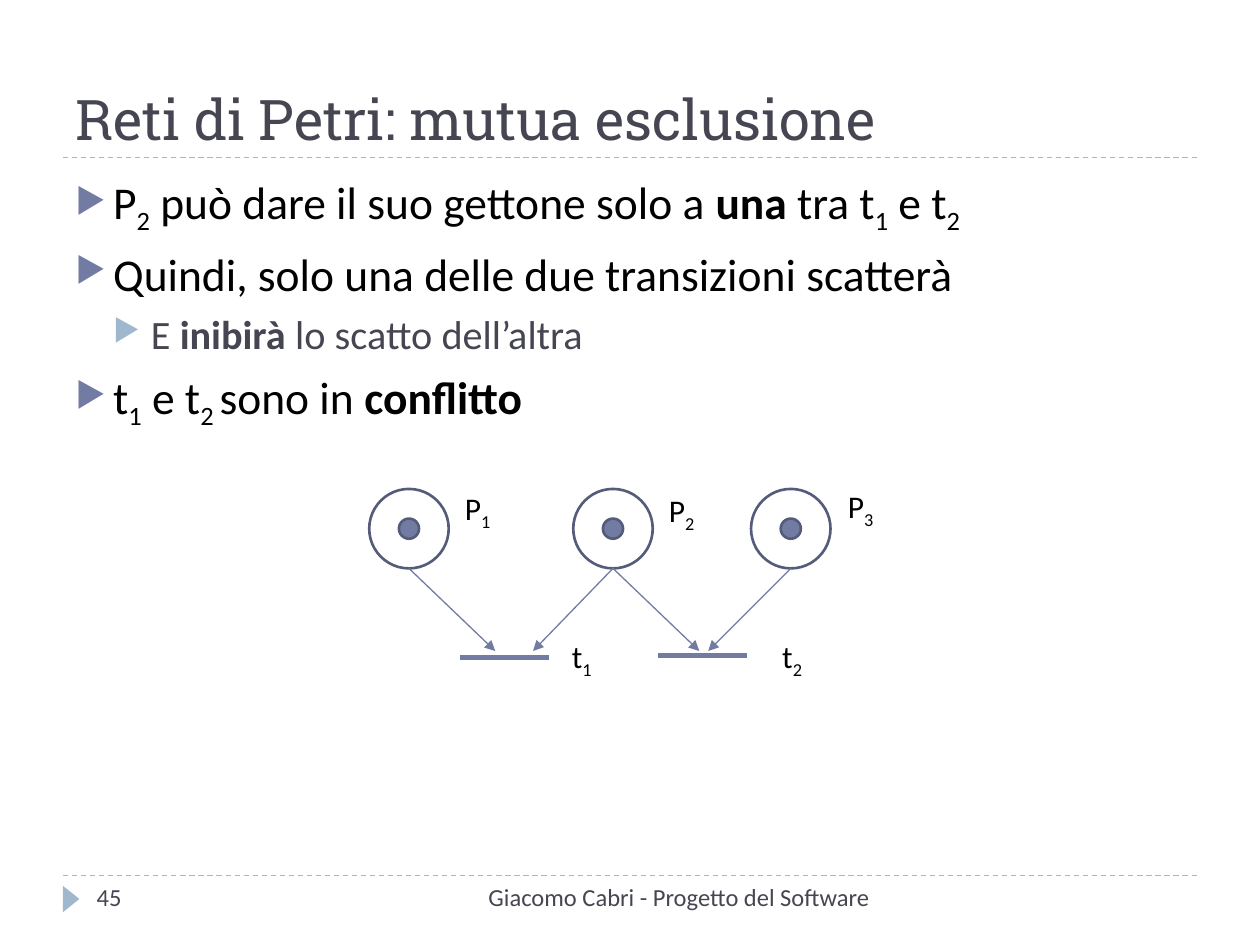
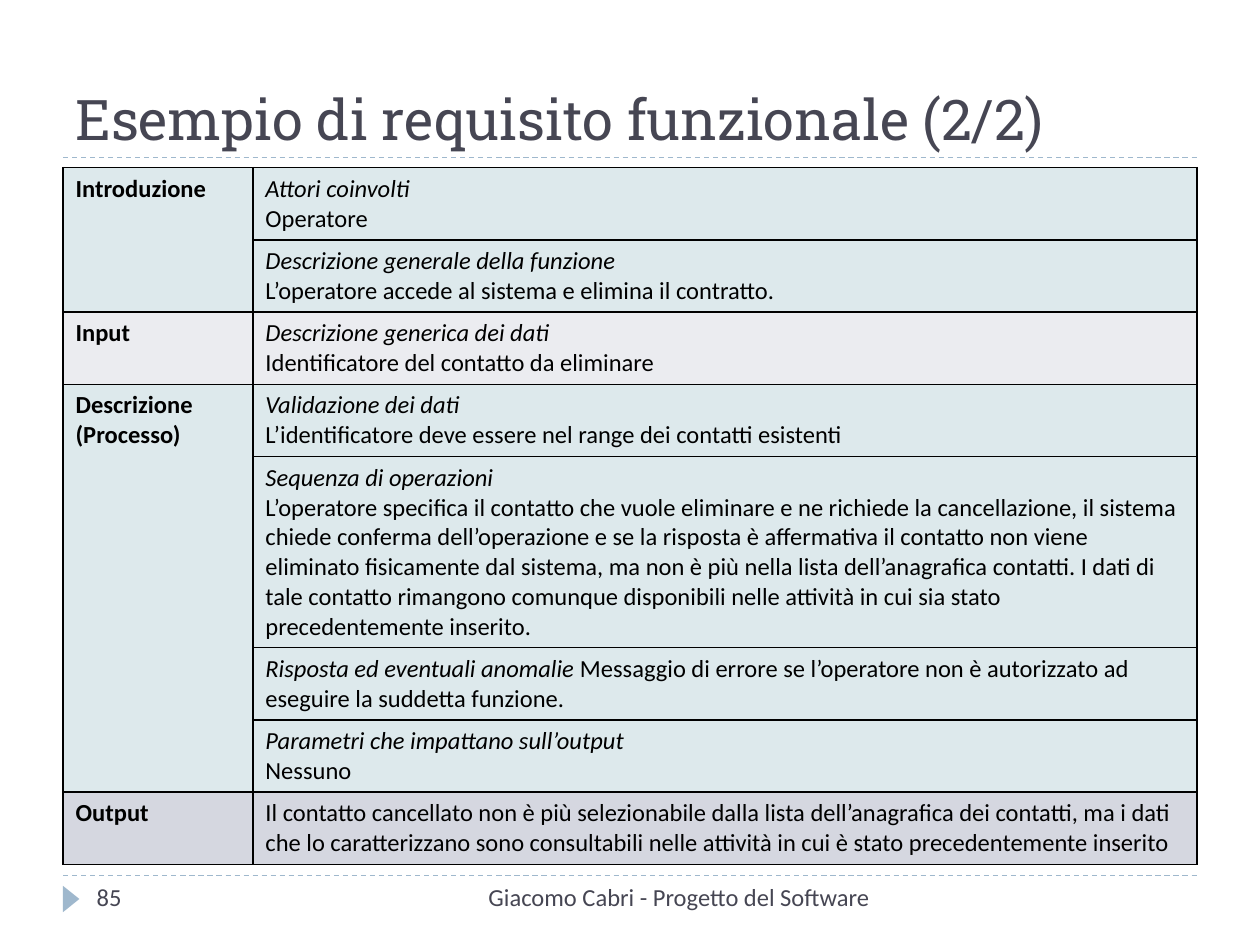
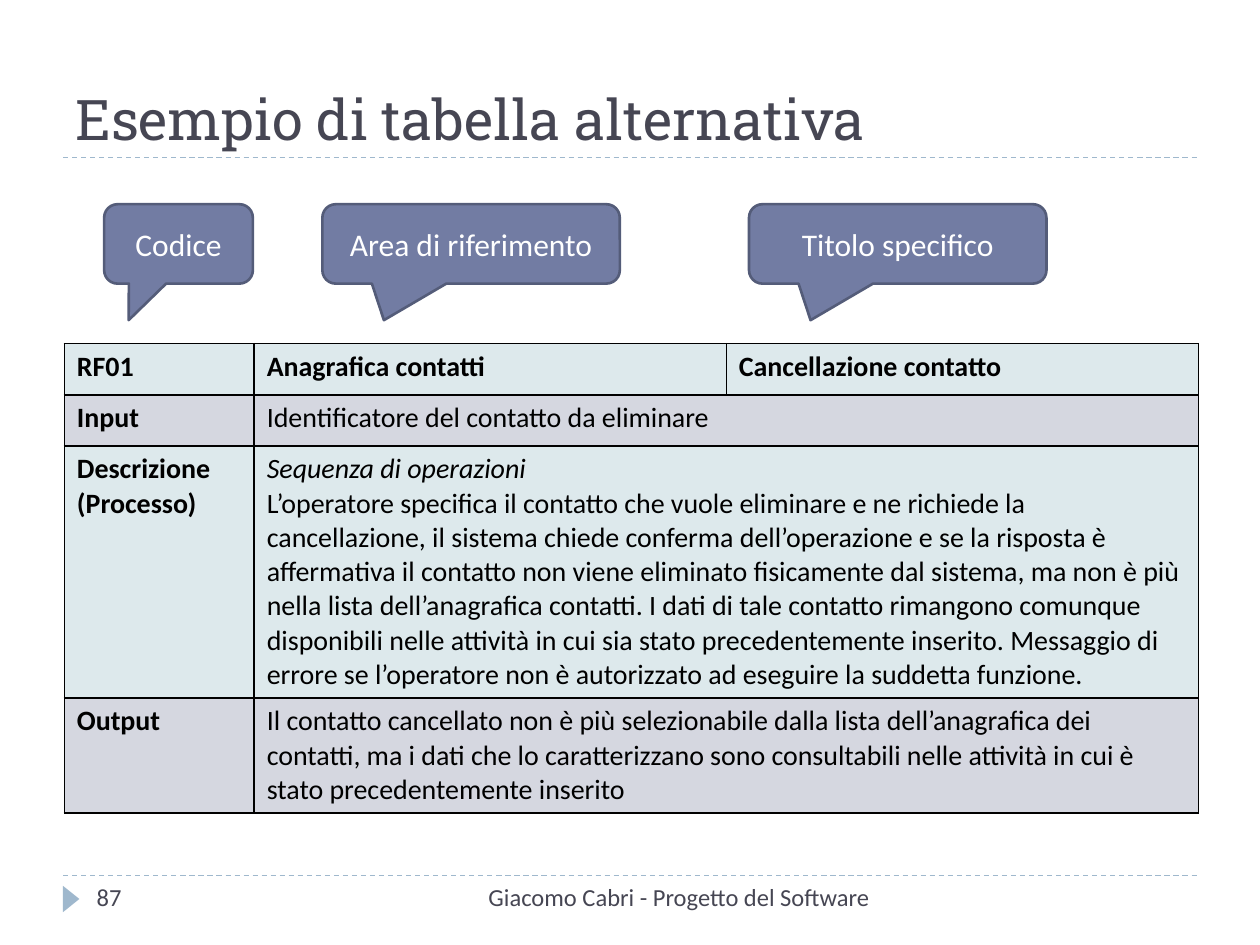
from lxml import etree
from pptx import Presentation
from pptx.dml.color import RGBColor
from pptx.enum import dml, shapes, text
from pptx.oxml import ns
from pptx.util import Pt

PALETTE = {
    "ink": "000000", "heading": "464653", "accent": "727CA3", "outline": "545C79",
    "rule": "9FB8CD", "white": "FFFFFF", "teal": "DDE9EC", "lilac": "D5D7E0", "mist": "EBECF0",
}
BODY_FONT, TITLE_FONT = "Calibri", "Roboto Slab"
FOOTER = "Giacomo Cabri - Progetto del Software"
MARGIN, CONTENT_WIDTH = 36, 648
STYLES = {"": {}, "bold": {"bold": True}, "italic": {"italic": True}, "sub": {}}

DELETION = (
    "L’operatore specifica il contatto che vuole eliminare e ne richiede la cancellazione, "
    "il sistema chiede conferma dell’operazione e se la risposta è affermativa il contatto "
    "non viene eliminato fisicamente dal sistema, ma non è più nella lista dell’anagrafica "
    "contatti. I dati di tale contatto rimangono comunque disponibili nelle attività in cui "
    "sia stato precedentemente inserito."
)
ERROR = "Messaggio di errore se l’operatore non è autorizzato ad eseguire la suddetta funzione."
OUTPUT = (
    "Il contatto cancellato non è più selezionabile dalla lista dell’anagrafica dei contatti, "
    "ma i dati che lo caratterizzano sono consultabili nelle attività in cui è stato "
    "precedentemente inserito"
)
TARGET = "Identificatore del contatto da eliminare"


def color(name):
    return RGBColor.from_string(PALETTE[name])


def apply(target, values):
    for name, value in values.items():
        setattr(target, name, value)


def child(parent, tag, **attributes):
    return etree.SubElement(parent, ns.qn(tag), attributes)


def write(paragraph, runs, size, tint="ink", font=BODY_FONT):
    for content, style in runs:
        run = paragraph.add_run()
        run.text = content
        apply(run.font, {"size": Pt(size), "name": font, **STYLES[style]})
        run.font.color.rgb = color(tint)
        if style == "sub":
            run._r.get_or_add_rPr().set("baseline", "-25000")


def add_text(slide, box, runs, size, tint="ink", font=BODY_FONT,
             align=text.PP_ALIGN.LEFT, **frame_format):
    frame = slide.shapes.add_textbox(*map(Pt, box)).text_frame
    apply(frame, {"word_wrap": True, **frame_format})
    paragraph = frame.paragraphs[0]
    paragraph.alignment = align
    write(paragraph, runs, size, tint, font)
    return frame


def add_shape(slide, kind, box, fill=None, line=None):
    shape = slide.shapes.add_shape(kind, *map(Pt, box))
    shape.shadow.inherit = False
    if fill:
        shape.fill.solid()
        shape.fill.fore_color.rgb = color(fill)
    else:
        shape.fill.background()
    if line:
        shape.line.color.rgb = color(line)
        shape.line.width = Pt(1.5)
    else:
        shape.line.fill.background()
    return shape


def add_line(slide, start, end, tint, width, dashed=False, arrow=False):
    connector = slide.shapes.add_connector(
        shapes.MSO_CONNECTOR.STRAIGHT, *map(Pt, (*start, *end)))
    connector.line.color.rgb = color(tint)
    connector.line.width = Pt(width)
    if dashed:
        connector.line.dash_style = dml.MSO_LINE.DASH
    if arrow:
        child(connector.line._get_or_add_ln(), "a:tailEnd", type="triangle")
    child(connector._element.spPr, "a:effectLst")


def add_frame(presentation, title, number):
    slide = presentation.slides.add_slide(presentation.slide_layouts[6])
    footer_top = 500.4
    for y in (footer_top, 90):
        add_line(slide, (MARGIN, y), (MARGIN + CONTENT_WIDTH, y), "rule", 0.75, dashed=True)
    marker = add_shape(slide, shapes.MSO_SHAPE.ISOSCELES_TRIANGLE,
                       (33.1, footer_top + 8.6, 15.1, 9.4), "rule")
    marker.rotation = 90
    add_text(slide, (MARGIN, 12.2, CONTENT_WIDTH, 77.8), [(title, "")], 32, "heading",
             TITLE_FONT, vertical_anchor=text.MSO_ANCHOR.BOTTOM)
    add_text(slide, (228.2, footer_top, 275.8, 28.8), [(FOOTER, "")], 14, "heading",
             align=text.PP_ALIGN.RIGHT)
    add_text(slide, (48.2, footer_top, 156.2, 28.8), [(number, "")], 14, "heading")
    return slide


def add_bullets(slide, box, items):
    levels = [
        {"size": 26, "tint": "ink", "bullet": "accent", "before": 6},
        {"size": 23, "tint": "heading", "bullet": "rule", "before": 5},
    ]
    frame = add_text(slide, box, [], 26)
    for index, (level, runs) in enumerate(items):
        look = levels[level]
        paragraph = frame.add_paragraph() if index else frame.paragraphs[0]
        apply(paragraph, {"level": level, "space_before": Pt(look["before"])})
        properties = paragraph._p.get_or_add_pPr()
        properties.set("marL", str(Pt(21.6 * (level + 1))))
        properties.set("indent", str(Pt(-21.6)))
        child(child(properties, "a:buClr"), "a:srgbClr", val=PALETTE[look["bullet"]])
        child(properties, "a:buSzPct", val="76000")
        child(properties, "a:buChar", char="▶")
        write(paragraph, runs, look["size"], look["tint"])


def add_petri_net(slide, box):
    left, top = box
    diameter, token = 45.4, 11.5
    radius = diameter / 2
    places = [("1", 0, (47.5, 0.8)), ("2", 116.6, (164.1, 2.2)), ("3", 218.2, (266.4, 0))]
    transitions = [("1", 51.8, 100.8, (108.7, 85.7)), ("2", 164.9, 99.4, (228.9, 85.7))]
    arcs = [(0, 72), (1, 93.6), (1, 188.6), (2, 193.7)]

    def add_label(letter, number, offset):
        add_text(slide, (left + offset[0], top + offset[1], 29, 28.8),
                 [(letter, ""), (number, "sub")], 18, word_wrap=False,
                 auto_size=text.MSO_AUTO_SIZE.SHAPE_TO_FIT_TEXT)

    for number, x, label in places:
        for size, fill in ((diameter, None), (token, "accent")):
            inset = (diameter - size) / 2
            add_shape(slide, shapes.MSO_SHAPE.OVAL,
                      (left + x + inset, top + 4.4 + inset, size, size), fill, "outline")
        add_label("P", number, label)
    for number, x, y, label in transitions:
        add_line(slide, (left + x, top + y), (left + x + 51.1, top + y), "accent", 3)
        add_label("t", number, label)
    for place, tip in arcs:
        start = (left + places[place][1] + radius, top + 4.4 + diameter)
        add_line(slide, start, (left + tip, top + 97), "accent", 0.75, arrow=True)


def set_border(cell, edge, visible):
    line = child(cell._tc.get_or_add_tcPr(), "a:" + edge, w=str(Pt(1)))
    if visible:
        child(child(line, "a:solidFill"), "a:srgbClr", val=PALETTE["ink"])
    else:
        child(line, "a:noFill")


def add_requirement_table(slide, box, widths, heights, rows, size):
    left, top = box
    table = slide.shapes.add_table(len(rows), len(widths), Pt(left), Pt(top),
                                   Pt(sum(widths)), Pt(sum(heights))).table
    apply(table, {"first_row": False, "horz_banding": False})
    for column, width in zip(table.columns, widths):
        column.width = Pt(width)
    for row, height in zip(table.rows, heights):
        row.height = Pt(height)
    for r, (fill, *contents) in enumerate(rows):
        for c in range(len(widths)):
            cell = table.cell(r, c)
            paragraphs = contents[c] if c < len(contents) else []
            for index, runs in enumerate(paragraphs):
                paragraph = (cell.text_frame.add_paragraph() if index
                             else cell.text_frame.paragraphs[0])
                write(paragraph, runs, size)
            opens = c > 0 or bool(contents[0])
            closes = c > 0 or r + 1 == len(rows) or bool(rows[r + 1][1])
            for edge, visible in (("lnL", True), ("lnR", True), ("lnT", opens), ("lnB", closes)):
                set_border(cell, edge, visible)
            cell.fill.solid()
            cell.fill.fore_color.rgb = color(fill)
        if len(contents) < len(widths):
            table.cell(r, len(contents) - 1).merge(table.cell(r, len(widths) - 1))


def add_callouts(slide, top, callouts):
    for label, left, width, pointer in callouts:
        shape = add_shape(slide, shapes.MSO_SHAPE.ROUNDED_RECTANGULAR_CALLOUT,
                          (left, top, width, 45.4), "accent", "outline")
        for index, value in enumerate((pointer, 0.96, 0.17)):
            shape.adjustments[index] = value
        apply(shape.text_frame, {"word_wrap": True, "vertical_anchor": text.MSO_ANCHOR.MIDDLE})
        paragraph = shape.text_frame.paragraphs[0]
        paragraph.alignment = text.PP_ALIGN.CENTER
        write(paragraph, [(label, "")], 18, "white")


def strong(content):
    return [[(content, "bold")]]


def plain(content):
    return [[(content, "")]]


def entry(heading, content):
    return [[(heading, "italic")], [(content, "")]]


def build_mutual_exclusion(presentation):
    slide = add_frame(presentation, "Reti di Petri: mutua esclusione", "45")
    add_bullets(slide, (MARGIN, 95.8, CONTENT_WIDTH, 388.8), [
        (0, [("P", ""), ("2", "sub"), (" può dare il suo gettone solo a ", ""), ("una", "bold"),
             (" tra t", ""), ("1", "sub"), (" e t", ""), ("2", "sub")]),
        (0, [("Quindi, solo una delle due transizioni scatterà", "")]),
        (1, [("E ", ""), ("inibirà", "bold"), (" lo scatto dell’altra", "")]),
        (0, [("t", ""), ("1", "sub"), (" e t", ""), ("2 ", "sub"), ("sono in ", ""),
             ("conflitto", "bold")]),
    ])
    add_petri_net(slide, (211, 275))


def build_functional_requirement(presentation):
    slide = add_frame(presentation, "Esempio di requisito funzionale (2/2)", "85")
    rows = [
        ("teal", strong("Introduzione"), entry("Attori coinvolti", "Operatore")),
        ("teal", [], entry("Descrizione generale della funzione",
                           "L’operatore accede al sistema e elimina il contratto.")),
        ("mist", strong("Input"), entry("Descrizione generica dei dati", TARGET)),
        ("teal", strong("Descrizione (Processo)"),
         entry("Validazione dei dati",
               "L’identificatore deve essere nel range dei contatti esistenti")),
        ("teal", [], entry("Sequenza di operazioni", DELETION)),
        ("teal", [], [[("Risposta ed eventuali anomalie ", "italic"), (ERROR, "")]]),
        ("teal", [], entry("Parametri che impattano sull’output", "Nessuno")),
        ("lilac", strong("Output"), plain(OUTPUT)),
    ]
    heights = [41.3] * 4 + [109.2] + [41.3] * 3
    add_requirement_table(slide, (MARGIN, 95.8), [108.5, 539.5], heights, rows, 14)


def build_alternative_table(presentation):
    slide = add_frame(presentation, "Esempio di tabella alternativa", "87")
    rows = [
        ("teal", strong("RF01"), strong("Anagrafica contatti"), strong("Cancellazione contatto")),
        ("lilac", strong("Input"), plain(TARGET)),
        ("teal", strong("Descrizione (Processo)"),
         entry("Sequenza di operazioni", f"{DELETION} {ERROR}")),
        ("lilac", strong("Output"), plain(OUTPUT)),
    ]
    add_requirement_table(slide, (36.8, 196.4), [108.5, 269.75, 269.75],
                          [29.2, 29.2, 144, 65.8], rows, 16)
    add_callouts(slide, 116.7, [
        ("Codice", 59.5, 85, -0.335),
        ("Area di riferimento", 184.2, 170, -0.293),
        ("Titolo specifico", 428, 170, -0.293),
    ])


def main():
    presentation = Presentation()
    apply(presentation, {"slide_width": Pt(720), "slide_height": Pt(540)})
    build_mutual_exclusion(presentation)
    build_functional_requirement(presentation)
    build_alternative_table(presentation)
    presentation.save("out.pptx")


if __name__ == "__main__":
    main()
